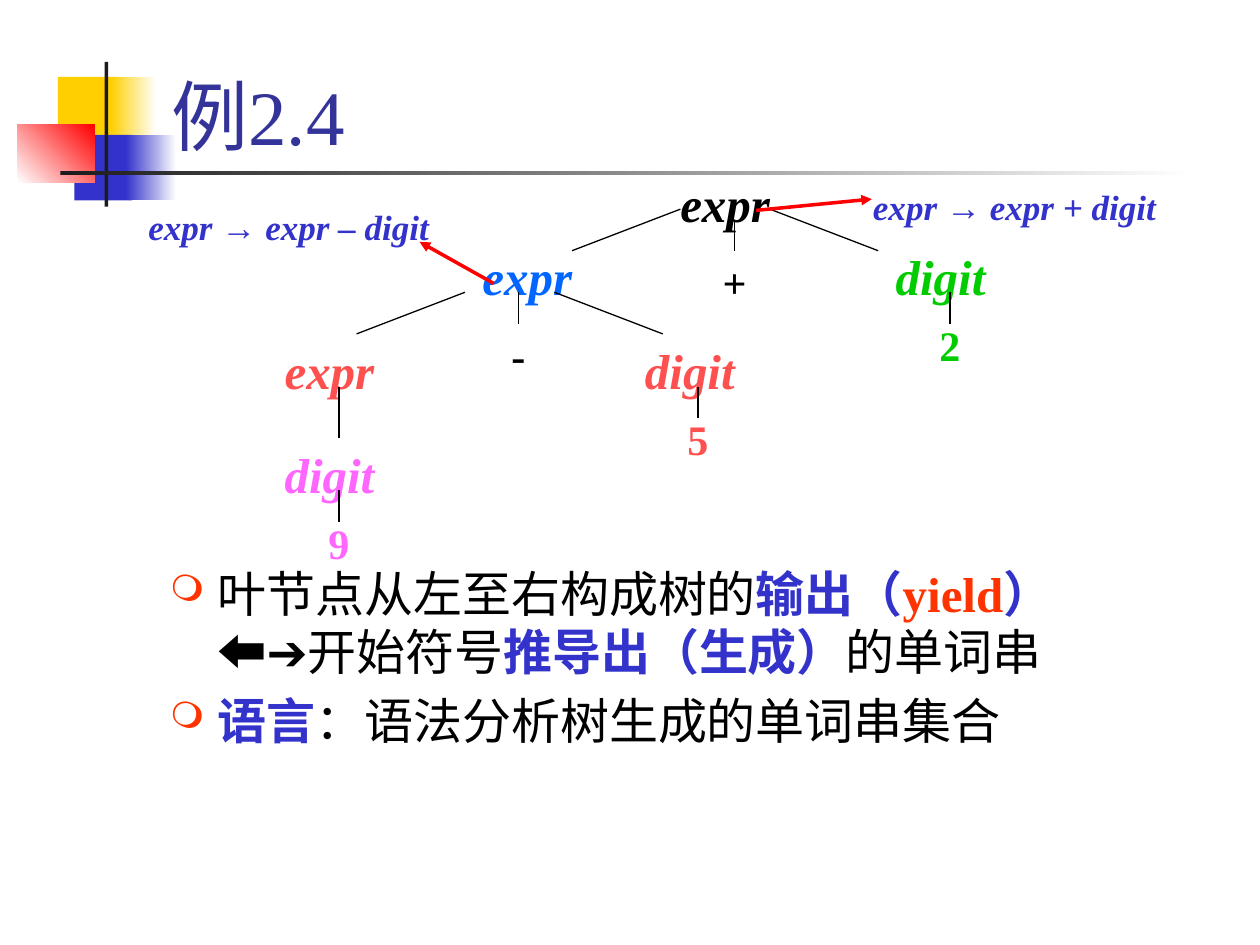
from dataclasses import dataclass
from typing import Optional

from lxml import etree
from pptx import Presentation, util as u
from pptx.dml.color import RGBColor
from pptx.enum import shapes, text
from pptx.oxml import ns

WIDE, HIGH = u.Inches(10), u.Inches(7.5)
COLS, ROWS = 100, 75


@dataclass(frozen=True)
class Theme:
    font: str = "Times New Roman"
    ink: str = "000000"
    title: str = "333399"
    blue: str = "3333CC"
    gold: str = "FFCF01"
    red: str = "FF0000"
    dark: str = "1C1C1C"
    white: str = "FFFFFF"
    mark: str = "FF3300"
    sky: str = "0066FF"
    green: str = "00CC00"
    coral: str = "FF5050"
    pink: str = "FF66FF"
    head: float = 44
    body: float = 28
    leaf: float = 24
    note: float = 20
    thin: float = 0.75
    thick: float = 2


T = Theme()


@dataclass(frozen=True)
class Box:
    x: float
    y: float
    w: float
    h: float

    def place(self) -> tuple:
        return col(self.x), row(self.y), col(self.w), row(self.h)


@dataclass(frozen=True)
class Block:
    box: Box
    start: str
    end: Optional[str] = None
    angle: float = 0


@dataclass(frozen=True)
class Run:
    words: str
    color: str
    size: float = T.body
    bold: bool = False
    slant: bool = False


@dataclass(frozen=True)
class Node:
    words: str
    x: float
    y: float
    color: str
    leaf: bool = False


@dataclass(frozen=True)
class Line:
    x1: float
    y1: float
    x2: float
    y2: float
    goal: Optional[str] = None


@dataclass(frozen=True)
class Note:
    box: Box
    sign: str
    arrow: Line


def col(n: float) -> int:
    return round(WIDE * n / COLS)


def row(n: float) -> int:
    return round(HIGH * n / ROWS)


def rgb(code: str) -> RGBColor:
    return RGBColor.from_string(code)


def add_block(slide, block: Block) -> None:
    shape = slide.shapes.add_shape(shapes.MSO_SHAPE.RECTANGLE, *block.box.place())
    shape.shadow.inherit = False
    shape.line.fill.background()
    if block.end is None:
        shape.fill.solid()
        shape.fill.fore_color.rgb = rgb(block.start)
        return
    shape.fill.gradient()
    shape.fill.gradient_angle = block.angle
    for stop, code in zip(shape.fill.gradient_stops, (block.start, block.end)):
        stop.color.rgb = rgb(code)


def add_runs(para, runs: list[Run]) -> None:
    for item in runs:
        if item.words == "\n":
            para.add_line_break()
            continue
        run = para.add_run()
        run.text = item.words
        font = run.font
        font.name, font.size = T.font, u.Pt(item.size)
        font.bold, font.italic = item.bold, item.slant
        font.color.rgb = rgb(item.color)


def add_text(slide, box: Box, paras: list[list[Run]], align=text.PP_ALIGN.LEFT):
    shape = slide.shapes.add_textbox(*box.place())
    frame = shape.text_frame
    frame.word_wrap = True
    for i, runs in enumerate(paras):
        para = frame.add_paragraph() if i else frame.paragraphs[0]
        para.alignment = align
        add_runs(para, runs)
    return shape


def add_node(slide, node: Node):
    wide, high = (8.6, 5) if node.leaf else (15.7, 5.7)
    box = Box(node.x - wide / 2, node.y, wide, high)
    size = T.leaf if node.leaf else T.body
    run = Run(node.words, node.color, size, True, not node.leaf)
    return add_text(slide, box, [[run]], text.PP_ALIGN.CENTER)


def add_line(slide, line: Line, color: str, width: float):
    link = slide.shapes.add_connector(
        shapes.MSO_CONNECTOR.STRAIGHT,
        col(line.x1), row(line.y1), col(line.x2), row(line.y2))
    link.line.color.rgb = rgb(color)
    link.line.width = u.Pt(width)
    etree.SubElement(link._element.spPr, ns.qn("a:effectLst"))
    return link


def add_arrow(slide, line: Line) -> None:
    link = add_line(slide, line, T.red, T.thick)
    etree.SubElement(link.line._get_or_add_ln(), ns.qn("a:tailEnd"), type="triangle")


def add_mark(para) -> None:
    props = para._p.get_or_add_pPr()
    props.set("marL", str(u.Inches(0.38)))
    props.set("indent", str(-u.Inches(0.38)))
    gap = etree.SubElement(props, ns.qn("a:spcBef"))
    etree.SubElement(gap, ns.qn("a:spcPct"), val="20000")
    tint = etree.SubElement(props, ns.qn("a:buClr"))
    etree.SubElement(tint, ns.qn("a:srgbClr"), val=T.mark)
    etree.SubElement(props, ns.qn("a:buSzPct"), val="75000")
    etree.SubElement(props, ns.qn("a:buChar"), char="❍")


def add_title(slide, words: str) -> None:
    title = slide.shapes.title
    title.left, title.top, title.width, title.height = Box(12.6, 0.8, 85.2, 12.5).place()
    frame = title.text_frame
    frame.auto_size = text.MSO_AUTO_SIZE.NONE
    frame.vertical_anchor = text.MSO_ANCHOR.BOTTOM
    frame.paragraphs[0].alignment = text.PP_ALIGN.LEFT
    add_runs(frame.paragraphs[0], [Run(words, T.title, T.head)])


def fork(x: float, y: float) -> list[Line]:
    return [Line(x + s * 3.55, y, x + s * 12.15, y + 3.3) for s in (-1, 1)]


BLOCKS = [
    Block(Box(4.6, 6.1, 4.8, 5.2), T.gold),
    Block(Box(8.8, 6.1, 3.6, 5.2), T.gold, T.white),
    Block(Box(5.9, 10.7, 4.6, 5.2), T.blue),
    Block(Box(10, 10.7, 4, 5.2), T.blue, T.white),
    Block(Box(1.4, 9.9, 6.1, 4.6), T.white, T.red, 45),
    Block(Box(8.3, 4.9, 0.3, 11.5), T.dark),
    Block(Box(4.8, 13.6, 90, 0.3), T.dark, T.white),
]
NODES = [
    Node("expr", 57.55, 13.3, T.ink),
    Node("digit", 74.65, 19.1, T.green),
    Node("digit", 54.75, 26.5, T.coral),
    Node("expr", 41.85, 19.1, T.sky),
    Node("digit", 26.15, 34.8, T.pink),
    Node("expr", 26.15, 26.5, T.coral),
    Node("9", 26.9, 40.6, T.pink, True),
    Node("5", 55.4, 32.3, T.coral, True),
    Node("2", 75.4, 24.9, T.green, True),
    Node("-", 41.15, 25.7, T.ink, True),
    Node("+", 58.3, 19.9, T.ink, True),
]
LINES = fork(57.55, 16.6) + fork(40.45, 23.2) + [
    Line(58.3, 17.5, 58.3, 19.9, "+"),
    Line(26.9, 38.9, 26.9, 41.4),
    Line(55.4, 30.7, 55.4, 33.2),
    Line(75.4, 23.2, 75.4, 25.7),
    Line(41.15, 23.2, 41.15, 25.7, "-"),
    Line(26.9, 30.7, 26.9, 34.8),
]
NOTES = [
    Note(Box(68.3, 14.2, 25.8, 4.3), "+", Line(60, 16.7, 69.2, 15.8)),
    Note(Box(10.8, 15.8, 26.7, 4.3), "–", Line(39.2, 22.5, 33.3, 19.2)),
]
BODY = [
    [Run("叶节点从左至右构成树的", T.ink), Run("输出（", T.blue, bold=True),
     Run("yield", T.mark, bold=True), Run("）", T.blue, bold=True), Run("\n", T.ink),
     Run("⬅➔开始符号", T.ink), Run("推导出（生成）", T.blue, bold=True),
     Run("的单词串", T.ink)],
    [Run("语言", T.blue, bold=True), Run("：语法分析树生成的单词串集合", T.ink)],
]


def main() -> None:
    deck = Presentation()
    deck.slide_width, deck.slide_height = WIDE, HIGH
    slide = deck.slides.add_slide(deck.slide_layouts[5])
    for block in BLOCKS:
        add_block(slide, block)
    add_title(slide, "例2.4")
    body = add_text(slide, Box(12.5, 44.2, 85.4, 19.2), BODY)
    for para in body.text_frame.paragraphs:
        add_mark(para)
    leaves = {}
    for node in NODES:
        leaves[node.words] = add_node(slide, node)
    for line in LINES:
        link = add_line(slide, line, T.ink, T.thin)
        if line.goal:
            link.end_connect(leaves[line.goal], 0)
    for note in NOTES:
        add_text(slide, note.box, [[
            Run("expr ", T.blue, T.note, True, True),
            Run("→ ", T.blue, T.note, True),
            Run(f"expr {note.sign} digit", T.blue, T.note, True, True)]])
        add_arrow(slide, note.arrow)
    deck.save("out.pptx")


if __name__ == "__main__":
    main()
